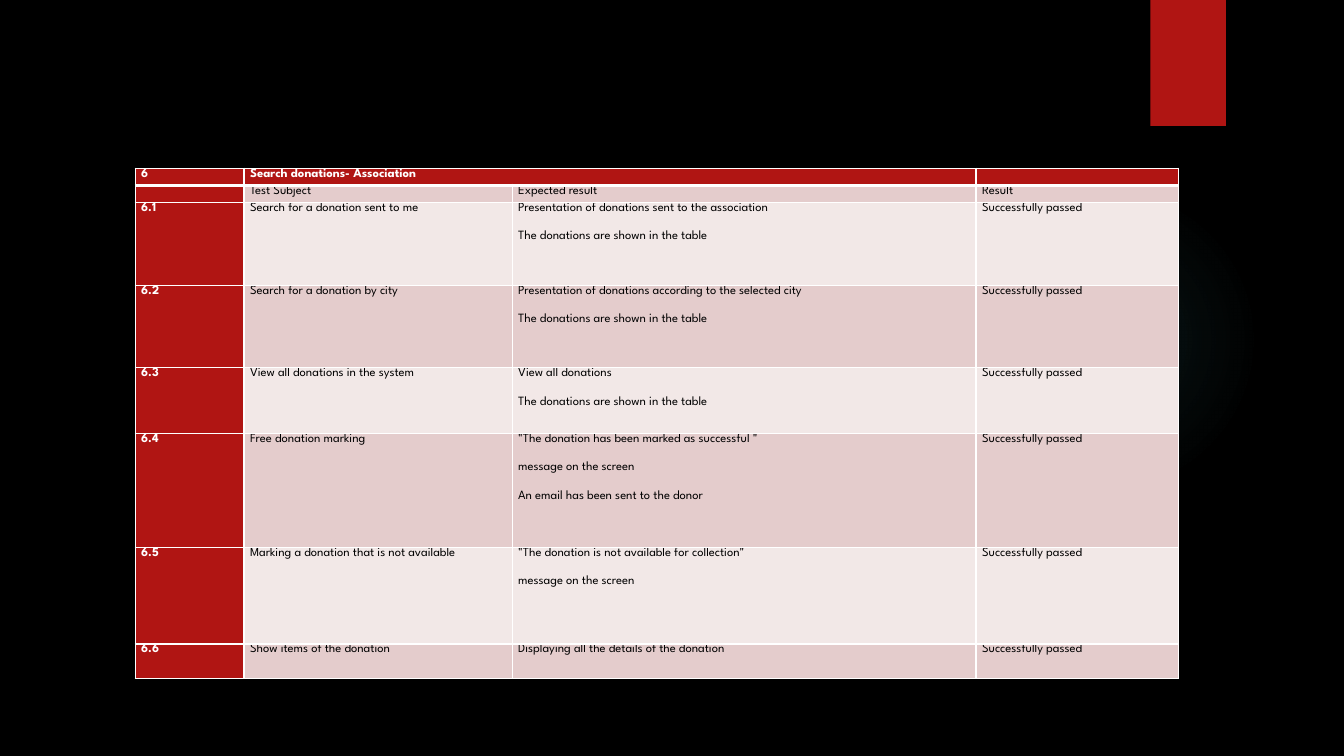
"""Build the slide with the test results for searching donations."""
from dataclasses import dataclass

import lxml.etree
import pptx
import pptx.dml.color
import pptx.enum.shapes
import pptx.enum.text
import pptx.oxml
import pptx.oxml.ns
import pptx.util

Inches = pptx.util.Inches
Pt = pptx.util.Pt


@dataclass(frozen=True)
class Theme:
    font: str = "League Spartan"
    size: float = 9
    gap: float = 12
    back: str = "000000"
    accent: str = "B01513"
    glow: str = "50B9C1"
    dark_band: str = "E4CCCC"
    light_band: str = "F2E8E7"
    light_text: str = "FFFFFF"
    dark_text: str = "000000"
    border: str = "FFFFFF"


def rgb(value):
    return pptx.dml.color.RGBColor.from_string(value)


def paint(fill, color):
    fill.solid()
    fill.fore_color.rgb = rgb(color)


class SlideBuilder:
    def __init__(self, prs, theme):
        self.theme = theme
        self.slide = prs.slides.add_slide(prs.slide_layouts[6])
        paint(self.slide.background.fill, theme.back)

    def shape(self, kind, box, color):
        sp = self.slide.shapes.add_shape(kind, *map(Inches, box))
        sp.shadow.inherit = False
        sp.line.fill.background()
        paint(sp.fill, color)
        return sp

    def glow(self, box, stops):
        sp = self.shape(pptx.enum.shapes.MSO_SHAPE.OVAL, box, self.theme.glow)
        marks = "".join(
            f'<a:gs pos="{pos * 1000}"><a:srgbClr val="{self.theme.glow}">'
            f'<a:alpha val="{alpha * 1000}"/></a:srgbClr></a:gs>'
            for pos, alpha in stops
        )
        grad = pptx.oxml.parse_xml(
            f'<a:gradFill {pptx.oxml.ns.nsdecls("a")}><a:gsLst>{marks}</a:gsLst>'
            '<a:path path="circle"><a:fillToRect l="50000" t="50000" '
            'r="50000" b="50000"/></a:path></a:gradFill>'
        )
        solid = sp._element.spPr.find(pptx.oxml.ns.qn("a:solidFill"))
        solid.getparent().replace(solid, grad)

    def borders(self, cell, widths):
        qn = pptx.oxml.ns.qn
        tc_pr = cell._tc.get_or_add_tcPr()
        for side, width in widths.items():
            ln = lxml.etree.SubElement(tc_pr, qn(f"a:ln{side}"), w=str(Pt(width)))
            fill = lxml.etree.SubElement(ln, qn("a:solidFill"))
            lxml.etree.SubElement(fill, qn("a:srgbClr"), val=self.theme.border)

    def cell(self, cell, text, fill, color, bold, widths):
        self.borders(cell, widths)
        paint(cell.fill, fill)
        margins = {
            "margin_left": Inches(0.06),
            "margin_right": Inches(0.06),
            "margin_top": 0,
            "margin_bottom": 0,
        }
        for name, value in margins.items():
            setattr(cell, name, value)
        tf = cell.text_frame
        for i, line in enumerate(text.split("\n")):
            p = tf.add_paragraph() if i else tf.paragraphs[0]
            p.alignment = pptx.enum.text.PP_ALIGN.LEFT
            if i:
                p.space_before = Pt(self.theme.gap)
            if not line:
                p._p.get_or_add_endParaRPr().set("sz", str(int(self.theme.size * 100)))
                continue
            r = p.add_run()
            r.text = line
            style = {"name": self.theme.font, "size": Pt(self.theme.size), "bold": bold}
            for name, value in style.items():
                setattr(r.font, name, value)
            r.font.color.rgb = rgb(color)

    def table(self, box, widths, heights, rows):
        t = self.theme
        table = self.slide.shapes.add_table(
            len(rows), len(widths), *map(Inches, box)
        ).table
        table.first_row = table.horz_banding = False
        for column, width in zip(table.columns, widths):
            column.width = Inches(width)
        for row, height in zip(table.rows, heights):
            row.height = Inches(height)
        for i, row in enumerate(rows):
            band = t.dark_band if i % 2 else t.light_band
            edges = {"L": 1, "R": 1, "T": 3 if i == 1 else 1, "B": 1 if i else 3}
            for j, text in enumerate(row):
                head = i == 0 or j == 0
                fill = t.accent if head else band
                color = t.light_text if head else t.dark_text
                self.cell(table.cell(i, j), text, fill, color, head, edges)
        table.cell(0, 1).merge(table.cell(0, 2))


PASSED = "Successfully passed"
SHOWN = "The donations are shown in the table"
ON_SCREEN = "message on the screen"
TESTS = [
    ("Search for a donation sent to me",
     f"Presentation of donations sent to the association\n{SHOWN}"),
    ("Search for a donation by city",
     f"Presentation of donations according to the selected city\n{SHOWN}"),
    ("View all donations in the system", f"View all donations\n{SHOWN}"),
    ("Free donation marking",
     f'"The donation has been marked as successful "\n{ON_SCREEN}\n'
     "An email has been sent to the donor"),
    ("Marking a donation that is not available",
     f'"The donation is not available for collection"\n{ON_SCREEN}'),
    ("Show items of the donation", "Displaying all the details of the donation"),
]


def main():
    prs = pptx.Presentation()
    prs.slide_width, prs.slide_height = Inches(13.33), Inches(7.5)
    theme = Theme()
    s = SlideBuilder(prs, theme)
    s.glow((9.41, 1.83, 3.08, 3.08), [(0, 7), (36, 6), (69, 0)])
    s.shape(pptx.enum.shapes.MSO_SHAPE.RECTANGLE, (11.41, 0, 0.75, 1.25), theme.accent)
    rows = [
        ("6", "Search donations- Association", "", ""),
        ("", "Test Subject", "Expected result", "Result"),
    ]
    rows += [(f"6.{n}", *test, PASSED) for n, test in enumerate(TESTS, 1)]
    s.table(
        (1.34, 1.67, 10.34, 5.07),
        [1.08, 2.66, 4.6, 2.01],
        [0.17, 0.17, 0.82, 0.82, 0.65, 1.13, 0.96, 0.34],
        rows,
    )
    prs.save("out.pptx")


if __name__ == "__main__":
    main()
